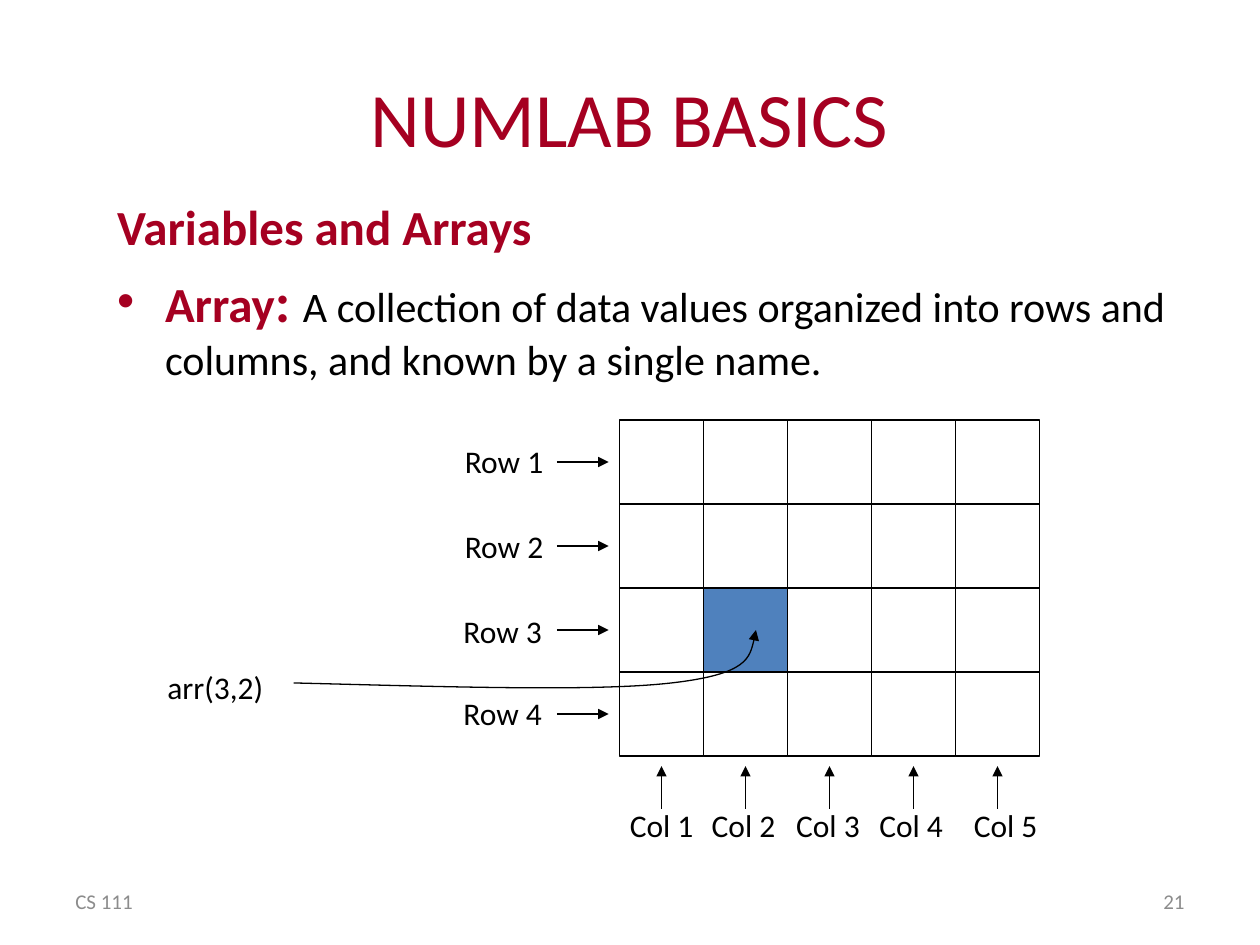
from lxml.etree import SubElement
from pptx import Presentation
from pptx.dml.color import RGBColor
from pptx.enum.shapes import MSO_CONNECTOR as Connector, MSO_SHAPE as Shape
from pptx.enum.text import MSO_ANCHOR as Anchor, MSO_AUTO_SIZE as AutoSize, PP_ALIGN as Align
from pptx.oxml.ns import qn
from pptx.util import Inches, Pt

TITLE = "NUMLAB BASICS"
HEADING = [("Variables and Arrays", "heading", "accent", True)]
DEFINITION = [
    ("Array", "heading", "accent", True),
    (": ", "colon", "accent", True),
    ("A collection of data values organized into rows and columns, "
     "and known by a single name.", "body", "ink", False),
]
ROW_LABELS = [("Row 1", 3.59, 3.46), ("Row 2", 3.59, 4.13),
              ("Row 3", 3.58, 4.81), ("Row 4", 3.58, 5.46)]
COLUMN_LABELS = [("Col 1", 4.9), ("Col 2", 5.55), ("Col 3", 6.22),
                 ("Col 4", 6.88), ("Col 5", 7.63)]
ELEMENT_LABEL = "arr(3,2)"
ELEMENT = (3, 2)
POINTER = [(2.33, 5.42), (3.53, 5.45), (4.72, 5.49), (5.33, 5.42),
           (5.94, 5.35), (5.97, 5.17), (6, 5)]
FOOTERS = [("CS 111", 0.5, Align.LEFT), ("21", 7.17, Align.RIGHT)]

THEME = {
    "font": "Calibri",
    "colors": {"accent": "A50021", "ink": "000000", "muted": "8C8C8C", "cell": "4F81BD"},
    "sizes": {"title": 44, "colon": 32, "heading": 28, "body": 24, "label": 18, "footer": 12},
    "line": 0.75,
}
GRID_LEFT, GRID_TOP, CELL = 59 / 12, 10 / 3, 2 / 3
GRID_BOTTOM = GRID_TOP + CELL * len(ROW_LABELS)


def color(name):
    return RGBColor.from_string(THEME["colors"][name])


def place(shape, left, top, width, height):
    shape.left, shape.top = Inches(left), Inches(top)
    shape.width, shape.height = Inches(width), Inches(height)


def write(paragraph, text, size="label", ink="ink", bold=False):
    run = paragraph.add_run()
    run.text = text
    run.font.name = THEME["font"]
    run.font.size = Pt(THEME["sizes"][size])
    run.font.bold = bold
    run.font.color.rgb = color(ink)


def add_text(slide, text, box, align=Align.LEFT, anchor=Anchor.TOP, **style):
    frame = slide.shapes.add_textbox(*map(Inches, box)).text_frame
    frame.word_wrap = True
    frame.vertical_anchor = anchor
    frame.paragraphs[0].alignment = align
    write(frame.paragraphs[0], text, **style)


def draw_line(shape, arrow=False):
    shape.line.color.rgb = color("ink")
    shape.line.width = Pt(THEME["line"])
    if arrow:
        SubElement(shape.line._get_or_add_ln(), qn("a:tailEnd"), type="triangle")


def add_arrow(slide, start, end):
    arrow = slide.shapes.add_connector(Connector.STRAIGHT, *map(Inches, start + end))
    draw_line(arrow, arrow=True)
    SubElement(arrow._element.spPr, qn("a:effectLst"))


def add_curve(slide, points):
    start, *others = [(Inches(x), Inches(y)) for x, y in points]
    builder = slide.shapes.build_freeform(*start)
    builder.add_line_segments(others, close=False)
    curve = builder.convert_to_shape()
    curve.shadow.inherit = False
    curve.fill.background()
    draw_line(curve, arrow=True)
    segments = list(curve._element.iter(qn("a:lnTo")))
    outline = segments[0].getparent()
    for first in range(0, len(segments), 3):
        bezier = SubElement(outline, qn("a:cubicBezTo"))
        for segment in segments[first:first + 3]:
            bezier.append(segment[0])
            outline.remove(segment)


def add_body(slide):
    body = slide.placeholders[1]
    place(body, 0.83, 1.51, 8.7, 5.16)
    frame = body.text_frame
    frame.auto_size = AutoSize.NONE
    for paragraph, runs, space, bullet in (
        (frame.paragraphs[0], HEADING, 0, None),
        (frame.add_paragraph(), DEFINITION, 6.4, "•"),
    ):
        paragraph.space_before = Pt(space)
        properties = paragraph._p.get_or_add_pPr()
        properties.set("marL", str(Inches(0.38)))
        properties.set("indent", str(Inches(-0.38)))
        if bullet:
            SubElement(properties, qn("a:buChar"), char=bullet)
        else:
            SubElement(properties, qn("a:buNone"))
        for run in runs:
            write(paragraph, *run)


def add_grid(slide):
    group = slide.shapes.add_group_shape()
    for row in range(len(ROW_LABELS)):
        for column in range(len(COLUMN_LABELS)):
            box = (GRID_LEFT + column * CELL, GRID_TOP + row * CELL, CELL, CELL)
            cell = group.shapes.add_shape(Shape.RECTANGLE, *map(Inches, box))
            cell.shadow.inherit = False
            draw_line(cell)
            if (row + 1, column + 1) == ELEMENT:
                cell.fill.solid()
                cell.fill.fore_color.rgb = color("cell")
            else:
                cell.fill.background()


def add_labels(slide):
    for row, (text, left, top) in enumerate(ROW_LABELS):
        middle = GRID_TOP + (row + 0.5) * CELL
        add_text(slide, text, (left, top, 0.91, 0.4))
        add_arrow(slide, (4.42, middle), (4.83, middle))
    for column, (text, left) in enumerate(COLUMN_LABELS):
        center = GRID_LEFT + (column + 0.5) * CELL
        add_text(slide, text, (left, 6.35, 0.78, 0.4))
        add_arrow(slide, (center, GRID_BOTTOM + 0.42), (center, GRID_BOTTOM + 0.08))


def main():
    presentation = Presentation()
    presentation.slide_width, presentation.slide_height = Inches(10), Inches(7.5)
    slide = presentation.slides.add_slide(presentation.slide_layouts[1])
    title = slide.shapes.title
    place(title, 0.5, 0.3, 9, 1.25)
    title.text_frame.vertical_anchor = Anchor.MIDDLE
    title.text_frame.paragraphs[0].alignment = Align.CENTER
    write(title.text_frame.paragraphs[0], TITLE, "title", "accent")
    add_body(slide)
    add_grid(slide)
    add_labels(slide)
    add_curve(slide, POINTER)
    add_text(slide, ELEMENT_LABEL, (1.23, 5.25, 1.02, 0.4))
    for text, left, align in FOOTERS:
        add_text(slide, text, (left, 6.95, 2.33, 0.4), align, Anchor.MIDDLE,
                 size="footer", ink="muted")
    presentation.save("out.pptx")


if __name__ == "__main__":
    main()
